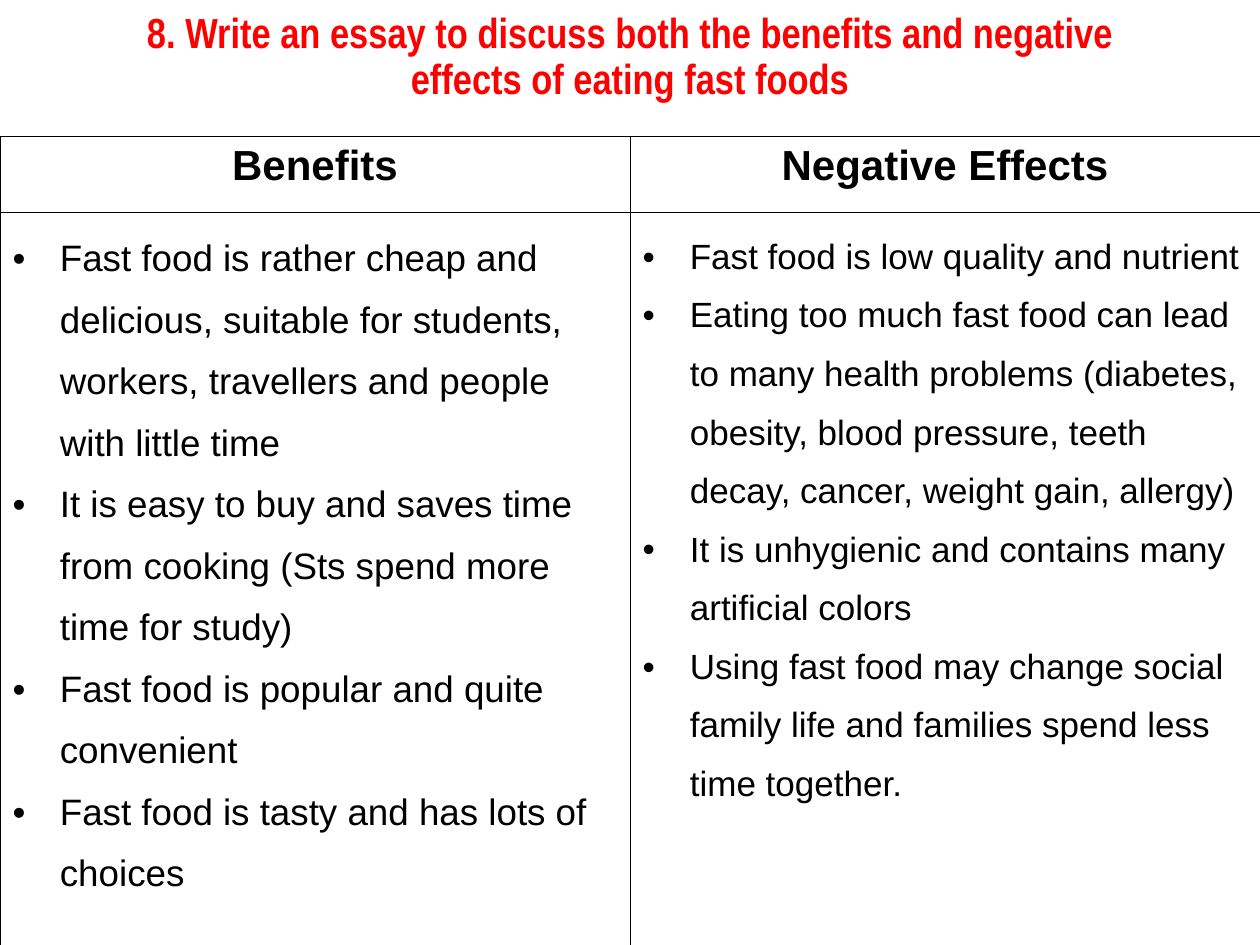
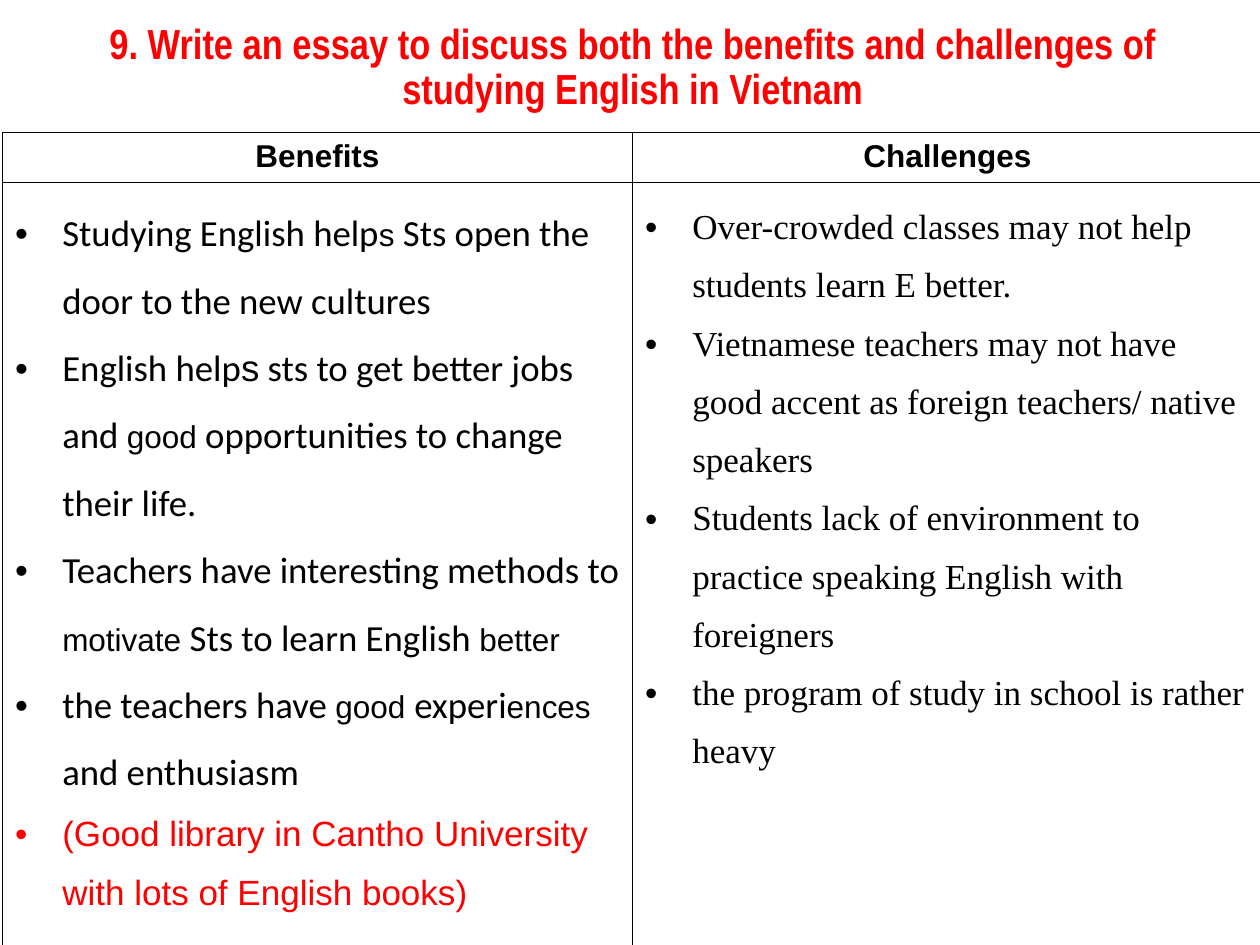
from dataclasses import dataclass, replace

from lxml import etree
from pptx import Presentation
from pptx.dml.color import RGBColor
from pptx.enum import text
from pptx.oxml import ns
from pptx.util import Pt


@dataclass(frozen=True)
class Style:
    font: str
    size: float
    color: str = "000000"
    bold: bool = False


class Theme:
    red = "FF0000"
    black = "000000"
    border = 0.45
    indent = 27
    title = Style("Arial Narrow", 24, red, True)
    heading = Style("Arial", 24, bold=True)
    small_heading = Style("Arial", 18, bold=True)
    body = Style("Arial", 21)
    compact = Style("Arial", 20)
    remark = Style("Arial", 20, red)
    calibri = Style("Calibri", 21)
    inserted = Style("Arial", 18)
    serif = Style("Times New Roman", 20)


def apply_style(font, style):
    font.name = style.font
    font.size = Pt(style.size)
    font.bold = style.bold
    font.color.rgb = RGBColor.from_string(style.color)


def add_element(parent, tag, **attributes):
    return etree.SubElement(parent, ns.qn(tag), attributes)


def add_bullet(paragraph, color):
    properties = paragraph._p.get_or_add_pPr()
    properties.set("marL", str(Pt(Theme.indent)))
    properties.set("indent", str(Pt(-Theme.indent)))
    add_element(add_element(properties, "a:buClr"), "a:srgbClr", val=color)
    add_element(properties, "a:buFont", typeface="Arial")
    add_element(properties, "a:buChar", char="•")


def add_borders(cell):
    properties = cell._tc.get_or_add_tcPr()
    for side in ("a:lnL", "a:lnR", "a:lnT", "a:lnB"):
        line = add_element(properties, side, w=str(Pt(Theme.border)))
        fill = add_element(line, "a:solidFill")
        add_element(fill, "a:srgbClr", val=Theme.black)


class Deck:
    def __init__(self):
        self.presentation = Presentation()
        self.presentation.slide_width = Pt(720)
        self.presentation.slide_height = Pt(540)
        self.slide = None

    def add_slide(self):
        self.slide = self.presentation.slides.add_slide(self.presentation.slide_layouts[6])

    def add_title(self, wording, left, top):
        box = self.slide.shapes.add_textbox(Pt(left), Pt(top), Pt(621), Pt(66.24))
        frame = box.text_frame
        frame.word_wrap = True
        frame.vertical_anchor = text.MSO_ANCHOR.MIDDLE
        paragraph = frame.paragraphs[0]
        paragraph.text = wording
        paragraph.alignment = text.PP_ALIGN.CENTER
        paragraph.line_spacing = 0.9
        apply_style(paragraph.font, Theme.title)

    def add_comparison(self, left, top, heights, heading_style, columns):
        """Draw a two-row table; columns maps each heading to (style, points)."""
        table = self.slide.shapes.add_table(
            2, len(columns), Pt(left), Pt(top), Pt(720), Pt(sum(heights))).table
        table.first_row = table.horz_banding = False
        for row, height in zip(table.rows, heights):
            row.height = Pt(height)
        for index, (heading, (style, points)) in enumerate(columns.items()):
            table.columns[index].width = Pt(360)
            self.fill_heading(table.cell(0, index), heading, heading_style)
            self.fill_points(table.cell(1, index), points, style)
        for cell in table.iter_cells():
            add_borders(cell)
            cell.fill.background()

    def fill_heading(self, cell, heading, style):
        paragraph = cell.text_frame.paragraphs[0]
        paragraph.text = heading
        paragraph.alignment = text.PP_ALIGN.CENTER
        apply_style(paragraph.font, style)

    def fill_points(self, cell, points, column_style):
        """A point is a string or a list of strings and (string, style) pairs."""
        frame = cell.text_frame
        for index, point in enumerate(points):
            paragraph = frame.add_paragraph() if index else frame.paragraphs[0]
            parts = [point] if isinstance(point, str) else point
            parts = [(part, column_style) if isinstance(part, str) else part for part in parts]
            style = parts[0][1]
            add_bullet(paragraph, style.color)
            paragraph.line_spacing = 1.5
            apply_style(paragraph.font, style)
            for wording, run_style in parts:
                run = paragraph.add_run()
                run.text = wording
                if run_style != style:
                    apply_style(run.font, run_style)


def build_fast_food(deck):
    deck.add_slide()
    deck.add_title("8. Write an essay to discuss both the benefits and negative "
                   "effects of eating fast foods", 49.5, 0)
    deck.add_comparison(0, 77.9, (43.2, 422.6), Theme.heading, {
        "Benefits": (Theme.body, [
            "Fast food is rather cheap and delicious, suitable for students, workers, "
            "travellers and people with little time",
            "It is easy to buy and saves time from cooking (Sts spend more time for study)",
            "Fast food is popular and quite convenient",
            "Fast food is tasty and has lots of choices",
        ]),
        "Negative Effects": (Theme.compact, [
            "Fast food is low quality and nutrient",
            "Eating too much fast food can lead to many health problems (diabetes, obesity, "
            "blood pressure, teeth decay, cancer, weight gain, allergy)",
            "It is unhygienic and contains many artificial colors",
            "Using fast food may change social family life and families spend less "
            "time together.",
        ]),
    })


def build_studying_english(deck):
    inserted = Theme.inserted
    large_inserted = replace(inserted, size=Theme.calibri.size)
    deck.add_slide()
    deck.add_title("9. Write an essay to discuss both the benefits and challenges of "
                   "studying English in Vietnam", 51, 6)
    deck.add_comparison(1.4, 75.6, (28.8, 437), Theme.small_heading, {
        "Benefits": (Theme.calibri, [
            ["Studying English help", ("s", inserted), " Sts open the door to the new cultures"],
            ["English help", ("s", large_inserted), " sts to get better jobs and ",
             ("good", inserted), " opportunities to change their life."],
            ["Teachers have interesting methods to ", ("motivate", inserted),
             " Sts to learn English ", ("better", inserted)],
            ["the teachers have ", ("good ", inserted), "experi", ("ences", inserted),
             " and enthusiasm"],
            [("(Good library in Cantho University with lots of English books)", Theme.remark)],
        ]),
        "Challenges": (Theme.serif, [
            "Over-crowded classes may not help students learn E better.",
            "Vietnamese teachers may not have good accent as foreign teachers/ native speakers",
            "Students lack of environment to practice speaking English with foreigners",
            "the program of study in school is rather heavy",
        ]),
    })


def main():
    deck = Deck()
    build_fast_food(deck)
    build_studying_english(deck)
    deck.presentation.save("out.pptx")


if __name__ == "__main__":
    main()
